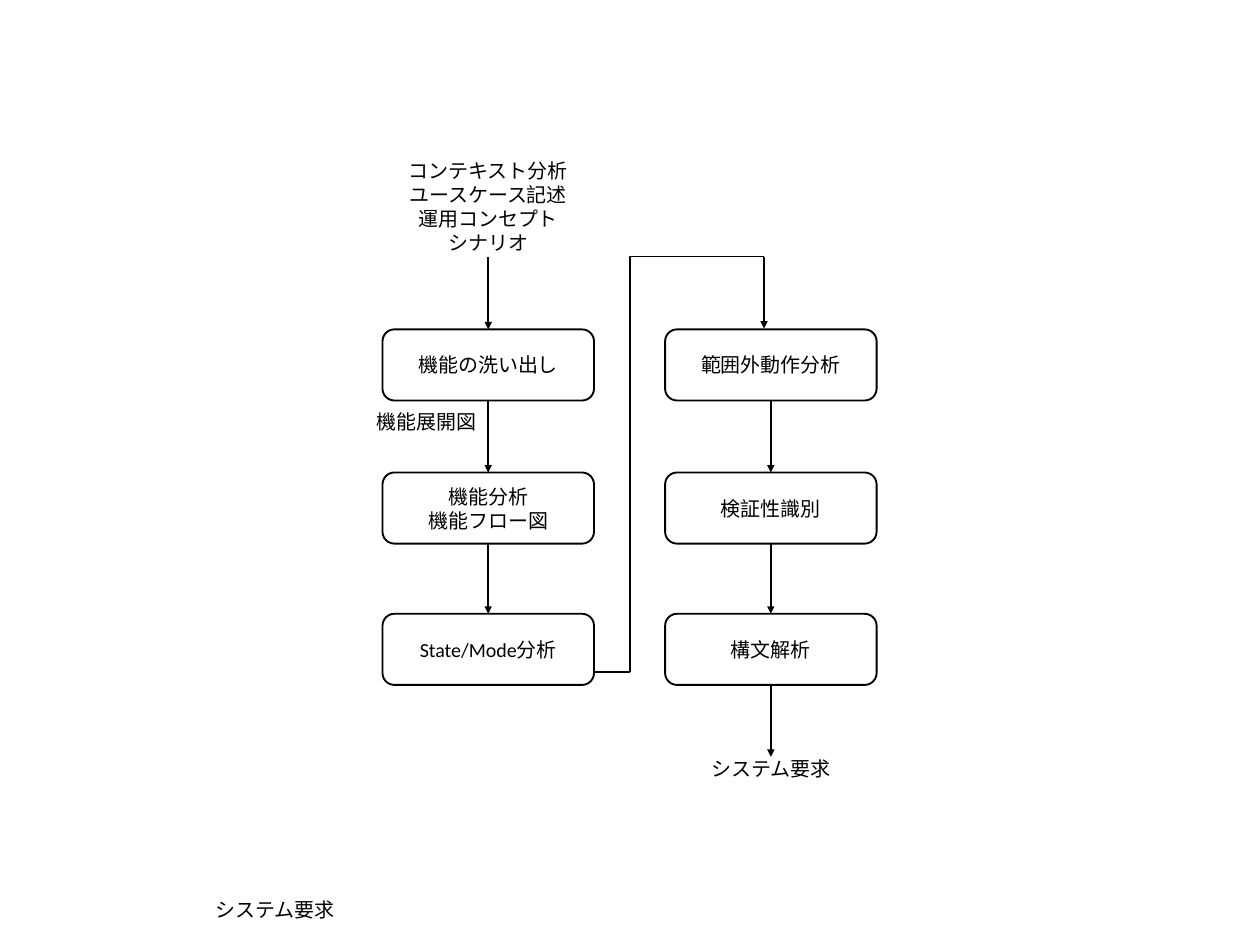
from pptx import Presentation
from pptx.dml.color import RGBColor
from pptx.enum.shapes import MSO_CONNECTOR, MSO_SHAPE
from pptx.enum.text import MSO_ANCHOR, PP_ALIGN
from pptx.oxml.ns import qn
from pptx.util import Inches, Pt
from lxml import etree

ROUNDED = MSO_SHAPE.ROUNDED_RECTANGLE
STRAIGHT = MSO_CONNECTOR.STRAIGHT
MIDDLE = MSO_ANCHOR.MIDDLE
CENTER, RIGHT = PP_ALIGN.CENTER, PP_ALIGN.RIGHT
TOP_SITE, BOTTOM_SITE = 0, 2

COLORS = {"ink": "000000", "paper": "FFFFFF"}
BOX_WIDTH, BOX_HEIGHT = 2.35, 0.79
ROW_TOPS = (3.66, 5.25, 6.82)
LEFT_COLUMN, RIGHT_COLUMN = 4.25, 7.39
ENTRY_TOP = 2.85


class FlowPage:
    """Holds the style of the flow chart and the slide it is drawn on."""

    def __init__(self, page):
        self.page = page
        self.ink = RGBColor.from_string(COLORS["ink"])
        self.paper = RGBColor.from_string(COLORS["paper"])
        self.font = {"name": "Calibri", "size": Pt(16)}
        self.line_width = Pt(1.5)

    def label(self, left, top, width, height, lines, align=CENTER):
        """Add a rounded shape without fill or outline, one paragraph per line."""
        box = self.page.shapes.add_shape(
            ROUNDED, Inches(left), Inches(top), Inches(width), Inches(height))
        box.shadow.inherit = False
        box.fill.background()
        box.line.fill.background()
        frame = box.text_frame
        frame.word_wrap = True
        frame.vertical_anchor = MIDDLE
        for index, line in enumerate(lines):
            para = frame.add_paragraph() if index else frame.paragraphs[0]
            para.alignment = align
            span = para.add_run()
            span.text = line
            for key, value in self.font.items():
                setattr(span.font, key, value)
            span.font.color.rgb = self.ink
        return box

    def step(self, left, top, lines):
        box = self.label(left, top, BOX_WIDTH, BOX_HEIGHT, lines)
        box.fill.solid()
        box.fill.fore_color.rgb = self.paper
        box.line.color.rgb = self.ink
        box.line.width = self.line_width
        return box

    def line(self, start, end, arrow=False):
        connector = self.page.shapes.add_connector(
            STRAIGHT, *(Inches(value) for value in (*start, *end)))
        connector.line.color.rgb = self.ink
        connector.line.width = self.line_width
        if arrow:
            outline = connector.line._get_or_add_ln()
            etree.SubElement(outline, qn("a:tailEnd"), type="triangle")
        etree.SubElement(connector._element.spPr, qn("a:effectLst"))
        return connector

    def column(self, left, steps):
        """Stack the steps, join each to the next and return their boxes."""
        boxes = [self.step(left, top, lines) for top, lines in zip(ROW_TOPS, steps)]
        center = left + BOX_WIDTH / 2
        for row, (upper, lower) in enumerate(zip(boxes, boxes[1:])):
            arrow = self.line((center, ROW_TOPS[row] + BOX_HEIGHT),
                              (center, ROW_TOPS[row + 1]), arrow=True)
            arrow.begin_connect(upper, BOTTOM_SITE)
            arrow.end_connect(lower, TOP_SITE)
        return boxes


def main():
    deck = Presentation()
    deck.slide_width, deck.slide_height = Inches(14), Inches(10.5)
    flow = FlowPage(deck.slides.add_slide(deck.slide_layouts[6]))

    left_boxes = flow.column(LEFT_COLUMN, [
        ["機能の洗い出し"], ["機能分析", "機能フロー図"], ["State/Mode分析"]])
    right_boxes = flow.column(RIGHT_COLUMN, [
        ["範囲外動作分析"], ["検証性識別"], ["構文解析"]])

    flow.label(LEFT_COLUMN, 1.69, BOX_WIDTH, 1.2, [
        "コンテキスト分析", "ユースケース記述", "運用コンセプト", "シナリオ"])
    flow.label(3.69, 4.48, 1.72, 0.41, ["機能展開図"], RIGHT)
    for left, top in ((RIGHT_COLUMN, 8.35), (1.88, 9.92)):
        flow.label(left, top, BOX_WIDTH, 0.37, ["システム要求"])

    left_center = LEFT_COLUMN + BOX_WIDTH / 2
    entry = flow.line((left_center, ENTRY_TOP), (left_center, ROW_TOPS[0]), arrow=True)
    entry.end_connect(left_boxes[0], TOP_SITE)

    right_center = RIGHT_COLUMN + BOX_WIDTH / 2
    result = flow.line((right_center, 7.61), (right_center, 8.41), arrow=True)
    result.begin_connect(right_boxes[-1], BOTTOM_SITE)

    detour = [(6.6, 7.47), (7, 7.47), (7, ENTRY_TOP), (8.49, ENTRY_TOP), (8.49, 3.65)]
    for start, end in zip(detour, detour[1:]):
        flow.line(start, end, arrow=end == detour[-1])

    deck.save("out.pptx")


if __name__ == "__main__":
    main()
